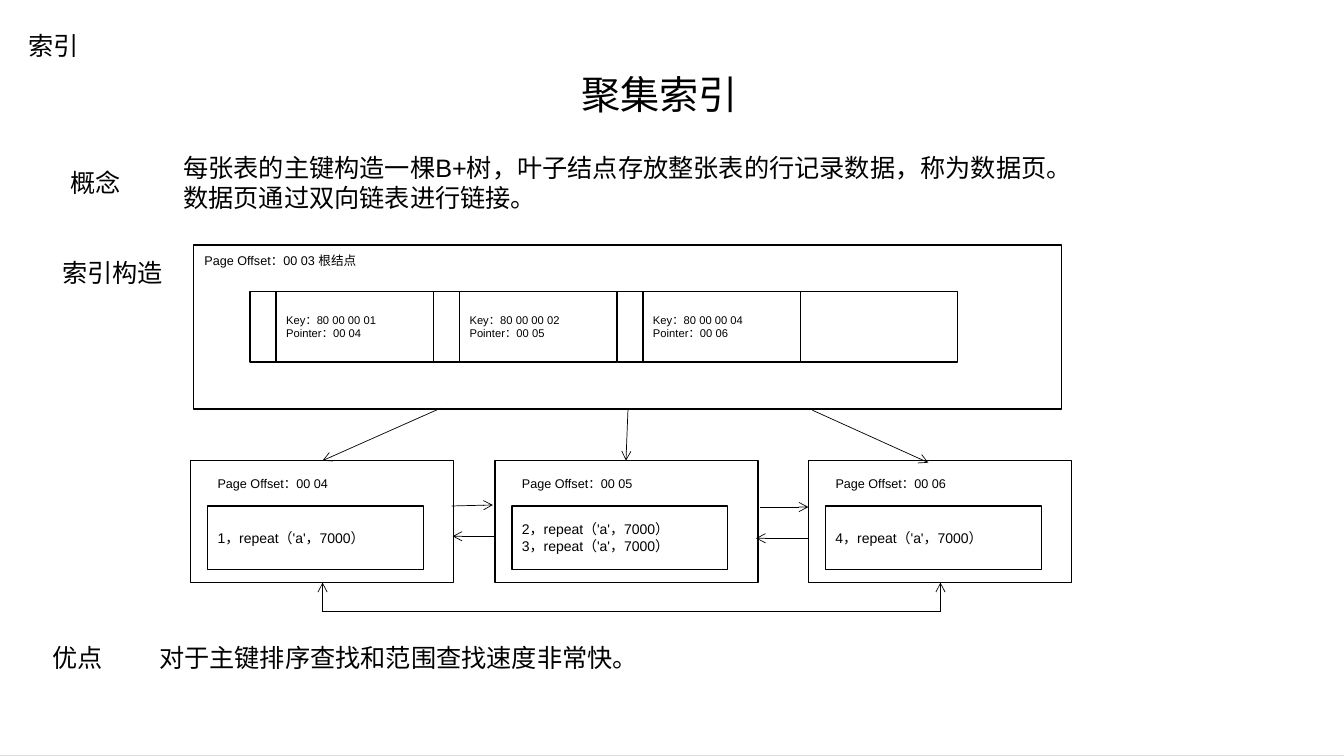
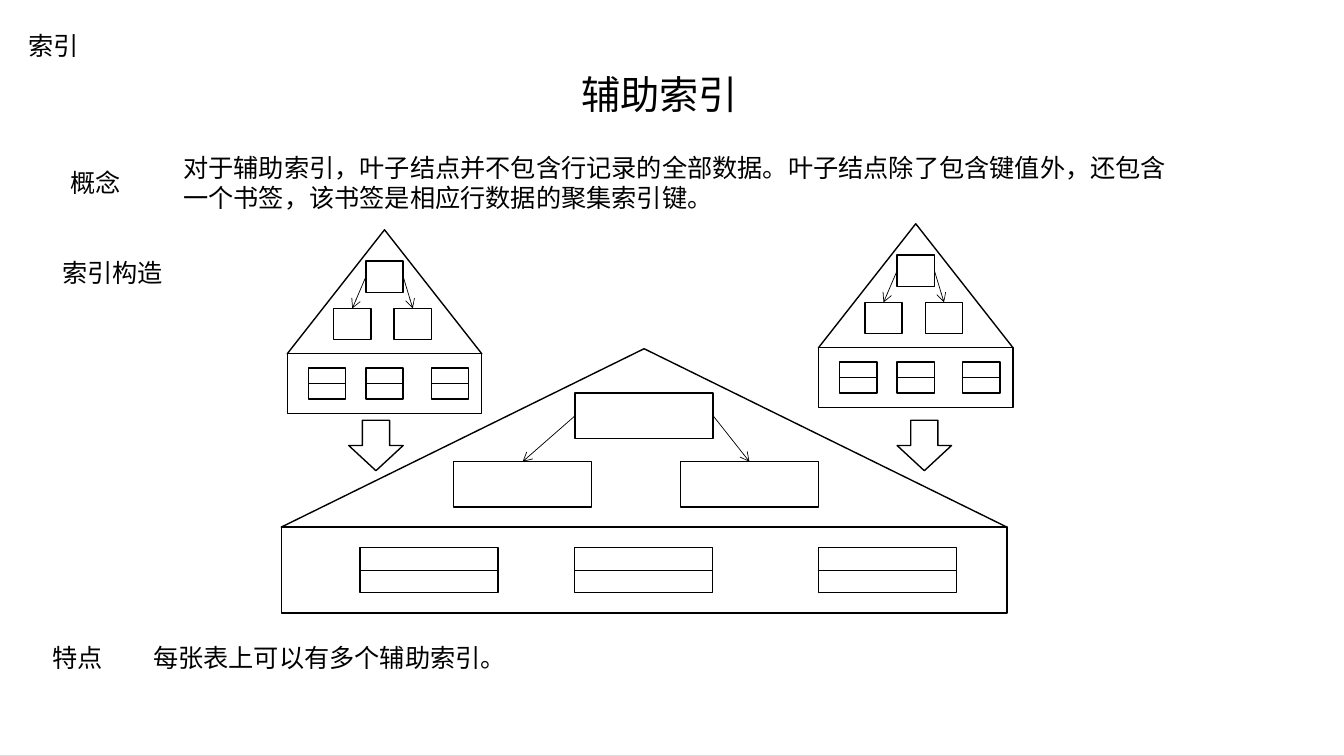
from dataclasses import dataclass
from typing import NamedTuple

from lxml import etree
from pptx import Presentation
from pptx.dml.color import RGBColor
from pptx.enum.shapes import MSO_CONNECTOR, MSO_SHAPE
from pptx.enum.text import MSO_ANCHOR, MSO_AUTO_SIZE, PP_ALIGN
from pptx.oxml.ns import qn
from pptx.util import Inches, Pt

RECT = MSO_SHAPE.RECTANGLE
TRIANGLE = MSO_SHAPE.ISOSCELES_TRIANGLE
DOWN_ARROW = MSO_SHAPE.DOWN_ARROW
STRAIGHT = MSO_CONNECTOR.STRAIGHT
LEFT = PP_ALIGN.LEFT
TOP, MIDDLE = MSO_ANCHOR.TOP, MSO_ANCHOR.MIDDLE
FIT_SHAPE = MSO_AUTO_SIZE.SHAPE_TO_FIT_TEXT

COLORS = {"ink": "000000", "paper": "FFFFFF", "shade": "DCDCDC"}
FONT = "Arial"
PITCH = 0.1
COLS, ROWS = 133.33, 75


class Box(NamedTuple):
    col: float
    row: float
    width: float
    height: float


class Link(NamedTuple):
    col1: float
    row1: float
    col2: float
    row2: float
    head: bool = True


@dataclass(frozen=True)
class Topic:
    title: str
    concept: tuple[str, ...]
    concept_width: float
    closing_label: str
    closing: str
    closing_col: float
    closing_width: float


@dataclass(frozen=True)
class LeafPage:
    col: float
    offset: str
    records: tuple[str, ...]


@dataclass(frozen=True)
class Pyramid:
    col: float
    row: float
    width: float
    peak: float
    base: float
    cell_width: float
    cell_height: float
    root_row: float
    child_row: float
    child_cols: tuple[float, ...]
    leaf_cols: tuple[float, ...]


CLUSTERED = Topic(
    "聚集索引",
    ("每张表的主键构造一棵B+树，叶子结点存放整张表的行记录数据，称为数据页。",
     "数据页通过双向链表进行链接。"),
    90.1, "优点", "对于主键排序查找和范围查找速度非常快。", 14.8, 50.8)
SECONDARY = Topic(
    "辅助索引",
    ("对于辅助索引，叶子结点并不包含行记录的全部数据。叶子结点除了包含键值外，还包含",
     "一个书签，该书签是相应行数据的聚集索引键。"),
    99.5, "特点", "每张表上可以有多个辅助索引。", 14.2, 38.3)

ROOT_KEYS = (("80 00 00 01", "00 04"), ("80 00 00 02", "00 05"),
             ("80 00 00 04", "00 06"))
LEAF_PAGES = (
    LeafPage(18.9, "00 04", ("1，repeat（'a'，7000）",)),
    LeafPage(49.1, "00 05", ("2，repeat（'a'，7000）", "3，repeat（'a'，7000）")),
    LeafPage(80.2, "00 06", ("4，repeat（'a'，7000）",)),
)
PAGE_LINKS = (
    Link(44.8, 50.2, 48.9, 50.1),
    Link(75.4, 50.3, 80.2, 50.3),
    Link(49, 53.2, 44.9, 53.2),
    Link(80.2, 53.4, 75, 53.4),
)
ROOT_LINKS = (
    Link(43.7, 40.5, 32, 45.7),
    Link(62.3, 40.6, 62.1, 45.7),
    Link(80.6, 40.7, 92.1, 45.9),
)
LOOP_LINKS = (
    Link(32, 60.7, 32, 57.8),
    Link(93.3, 60.7, 93.3, 57.8),
    Link(32, 60.7, 93.3, 60.7, head=False),
)


def small_pyramid(col: float, row: float) -> Pyramid:
    return Pyramid(col, row, 19.3, 12.3, 5.9, 3.7, 3.1, 3.1, 7.8,
                   (4.6, 10.6), (2.1, 7.8, 14.3))


PYRAMIDS = (
    small_pyramid(28.5, 22.8),
    small_pyramid(81.2, 22.2),
    Pyramid(27.9, 34.6, 72, 17.7, 8.5, 13.7, 4.5, 4.4, 11.2,
            (17.1, 39.6), (7.8, 29.1, 53.3)),
)


def grid(*units: float) -> list[int]:
    return [Inches(unit * PITCH) for unit in units]


def color(name: str) -> RGBColor:
    return RGBColor.from_string(COLORS[name])


def write(tf, *lines: str, size: float, anchor=TOP, wrap: bool = True) -> None:
    tf.word_wrap = wrap
    tf.vertical_anchor = anchor
    for i, line in enumerate(lines):
        p = tf.add_paragraph() if i else tf.paragraphs[0]
        p.alignment = LEFT
        r = p.add_run()
        r.text = line
        r.font.name = FONT
        r.font.size = Pt(size)
        r.font.color.rgb = color("ink")


def add_label(s, box: Box, *lines: str, size: float = 18, wrap: bool = False) -> None:
    tf = s.shapes.add_textbox(*grid(*box)).text_frame
    write(tf, *lines, size=size, wrap=wrap)
    tf.auto_size = FIT_SHAPE


def add_box(s, box: Box, *lines: str, kind=RECT, size: float = 10,
            outline: bool = True) -> None:
    sp = s.shapes.add_shape(kind, *grid(*box))
    sp.shadow.inherit = False
    sp.fill.solid()
    sp.fill.fore_color.rgb = color("paper")
    if outline:
        sp.line.color.rgb = color("ink")
        sp.line.width = Pt(1)
    else:
        sp.line.fill.background()
    if lines:
        write(sp.text_frame, *lines, size=size, anchor=MIDDLE)


def add_link(s, link: Link) -> None:
    c = s.shapes.add_connector(STRAIGHT, *grid(*link[:4]))
    c.line.color.rgb = color("ink")
    c.line.width = Pt(0.5)
    sp_pr = c.element.spPr
    if link.head:
        etree.SubElement(sp_pr.find(qn("a:ln")), qn("a:tailEnd"), type="arrow")
    etree.SubElement(sp_pr, qn("a:effectLst"))


def add_topic_slide(prs, topic: Topic):
    s = prs.slides.add_slide(prs.slide_layouts[6])
    add_box(s, Box(0, 0, COLS, ROWS - 0.1), outline=False)
    add_label(s, Box(1.8, 2.5, 7, 4), "索引")
    add_label(s, Box(56.7, 6.5, 17.6, 5.7), topic.title, size=28)
    add_label(s, Box(17.2, 14.6, topic.concept_width, 7.1), *topic.concept)
    add_label(s, Box(6, 16.1, 7, 4), "概念")
    add_label(s, Box(5.2, 25, 12, 4), "索引构造")
    add_label(s, Box(4.2, 63.2, 7, 4), topic.closing_label)
    add_label(s, Box(topic.closing_col, 63.2, topic.closing_width, 4), topic.closing)
    return s


def add_root_page(s) -> None:
    slot, key_width, row, height = 2.6, 15.6, 28.9, 7
    add_box(s, Box(19.2, 24.3, 86.1, 16.3))
    add_label(s, Box(19.3, 24.6, 23.8, 2.5), "Page Offset：00 03 根结点", size=9, wrap=True)
    col = 24.8
    for key, pointer in ROOT_KEYS:
        add_box(s, Box(col, row, slot, height))
        add_box(s, Box(col + slot, row, key_width, height),
                f"Key：{key}", f"Pointer：{pointer}", size=8)
        col += slot + key_width
    add_box(s, Box(col, row, key_width, height))


def add_leaf_page(s, page: LeafPage) -> None:
    inset = page.col + 1.7
    add_box(s, Box(page.col, 45.7, 26.1, 12.1))
    add_label(s, Box(inset, 46.7, 15.9, 2.5), f"Page Offset：{page.offset}", size=9, wrap=True)
    add_box(s, Box(inset, 50.2, 21.4, 6.3), *page.records)


def add_pyramid(s, pyr: Pyramid) -> None:
    w, h = pyr.cell_width, pyr.cell_height
    base_row = pyr.row + pyr.peak
    root_col = pyr.col + (pyr.width - w) / 2
    root_row = pyr.row + pyr.root_row
    child_row = pyr.row + pyr.child_row
    leaf_row = base_row + (pyr.base - h) / 2
    add_box(s, Box(pyr.col, pyr.row, pyr.width, pyr.peak), kind=TRIANGLE)
    add_box(s, Box(pyr.col, base_row, pyr.width, pyr.base))
    add_box(s, Box(root_col, root_row, w, h))
    for side, offset in zip((root_col, root_col + w), pyr.child_cols):
        col = pyr.col + offset
        add_box(s, Box(col, child_row, w, h))
        add_link(s, Link(side, root_row + h / 2, col + w / 2, child_row))
    for offset in pyr.leaf_cols:
        col, middle = pyr.col + offset, leaf_row + h / 2
        add_box(s, Box(col, leaf_row, w, h))
        add_link(s, Link(col, middle, col + w, middle, head=False))


def add_clustered_slide(prs) -> None:
    s = add_topic_slide(prs, CLUSTERED)
    add_root_page(s)
    for page in LEAF_PAGES:
        add_leaf_page(s, page)
    for link in PAGE_LINKS + ROOT_LINKS + LOOP_LINKS:
        add_link(s, link)


def add_secondary_slide(prs) -> None:
    s = add_topic_slide(prs, SECONDARY)
    for pyr in PYRAMIDS:
        add_pyramid(s, pyr)
    for col in (34.6, 89):
        add_box(s, Box(col, 41.7, 5.4, 5), kind=DOWN_ARROW)


def set_background(prs) -> None:
    fill = prs.slide_master.background.fill
    fill.gradient()
    fill.gradient_angle = 270
    for stop, name in zip(fill.gradient_stops, ("paper", "shade")):
        stop.color.rgb = color(name)


def main() -> None:
    prs = Presentation()
    prs.slide_width, prs.slide_height = grid(COLS, ROWS)
    set_background(prs)
    add_clustered_slide(prs)
    add_secondary_slide(prs)
    prs.save("out.pptx")


if __name__ == "__main__":
    main()
